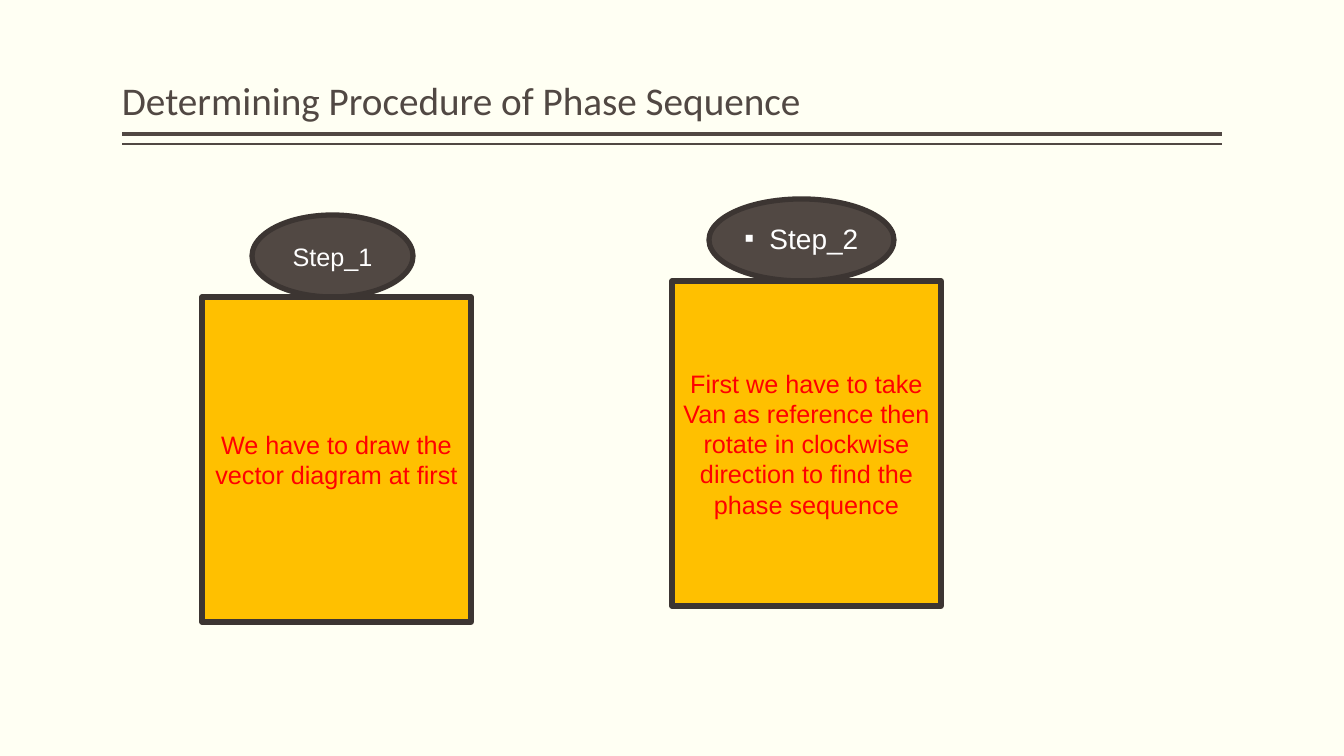
from lxml import etree
from pptx import Presentation
from pptx.dml.color import RGBColor
from pptx.enum.shapes import MSO_CONNECTOR, MSO_SHAPE
from pptx.enum.text import MSO_ANCHOR, PP_ALIGN
from pptx.oxml.ns import qn
from pptx.util import Emu, Pt

STRAIGHT = MSO_CONNECTOR.STRAIGHT
OVAL, RECTANGLE = MSO_SHAPE.OVAL, MSO_SHAPE.RECTANGLE
MIDDLE, BOTTOM = MSO_ANCHOR.MIDDLE, MSO_ANCHOR.BOTTOM
LEFT, CENTER = PP_ALIGN.LEFT, PP_ALIGN.CENTER

SLIDE_W, SLIDE_H = 1344, 756
SCALE = 12192000 / SLIDE_W
BROWN, DARK_BROWN = "514843", "3C3532"
IVORY, AMBER, RED, WHITE = "FFFFF3", "FFC000", "FF0000", "FFFFFF"


def px(*lengths):
    return [Emu(round(length * SCALE)) for length in lengths]


def write(shape, text, size, color, font="Arial", align=CENTER, anchor=MIDDLE,
          side_inset=10, spacing=1.0, bullet=None):
    frame = shape.text_frame
    frame.word_wrap = True
    frame.vertical_anchor = anchor
    frame.margin_left, frame.margin_right = px(side_inset, side_inset)
    frame.margin_top, frame.margin_bottom = px(5, 5)
    paragraph = frame.paragraphs[0]
    paragraph.alignment = align
    paragraph.line_spacing = spacing
    if bullet:
        properties = paragraph._p.get_or_add_pPr()
        indent = px(25)[0]
        properties.set("marL", str(indent))
        properties.set("indent", str(-indent))
        etree.SubElement(properties, qn("a:buFont"), typeface="Arial")
        etree.SubElement(properties, qn("a:buChar"), char=bullet)
    run = paragraph.add_run()
    run.text = text
    run.font.name = font
    run.font.size = Pt(size)
    run.font.color.rgb = RGBColor.from_string(color)


prs = Presentation()
prs.slide_width, prs.slide_height = px(SLIDE_W, SLIDE_H)
slide = prs.slides.add_slide(prs.slide_layouts[6])
slide.background.fill.solid()
slide.background.fill.fore_color.rgb = RGBColor.from_string(IVORY)

for rule_y, weight in [(134, 3), (144, 1)]:
    rule = slide.shapes.add_connector(STRAIGHT, *px(1222, rule_y, 122, rule_y))
    rule.line.color.rgb = RGBColor.from_string(BROWN)
    rule.line.width = Pt(weight)
    etree.SubElement(rule._element.spPr, qn("a:effectLst"))

title = slide.shapes.add_textbox(*px(122, 8, 1100, 121))
write(title, "Determining Procedure of Phase Sequence", 28, BROWN, font="Calibri",
      align=LEFT, anchor=BOTTOM, side_inset=0, spacing=0.9)

LABEL_H, CARD_W, CARD_H = 82, 269, 325
steps = [
    (202, 297, 252, 161, "Step_1", "We have to draw the vector diagram at first",
     dict(size=18)),
    (672, 281, 709, 185, "Step_2",
     "First we have to take Van as reference then rotate in clockwise direction "
     "to find the phase sequence",
     dict(size=20, side_inset=0, spacing=0.9, bullet="▪")),
]
for card_x, card_y, label_x, label_w, step, instruction, label_format in steps:
    label_box = (label_x, card_y - LABEL_H, label_w, LABEL_H)
    card_box = (card_x, card_y, CARD_W, CARD_H)
    for preset, box, fill, text, text_format in [
        (OVAL, label_box, BROWN, step, dict(label_format, color=WHITE)),
        (RECTANGLE, card_box, AMBER, instruction, dict(size=18, color=RED)),
    ]:
        part = slide.shapes.add_shape(preset, *px(*box))
        part.shadow.inherit = False
        part.fill.solid()
        part.fill.fore_color.rgb = RGBColor.from_string(fill)
        part.line.color.rgb = RGBColor.from_string(DARK_BROWN)
        part.line.width = Pt(3.78)
        write(part, text, **text_format)

prs.save("out.pptx")
